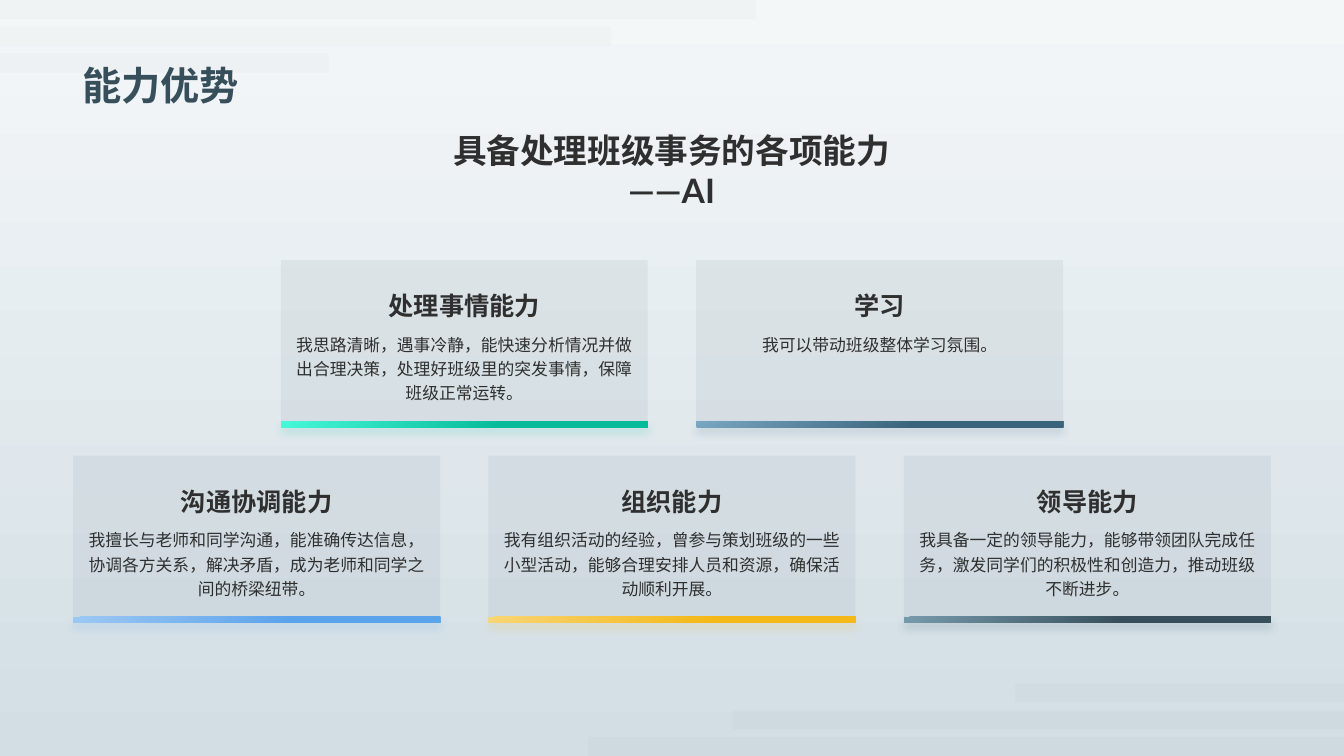
import pptx
import pptx.dml.color
import pptx.enum.shapes
import pptx.enum.text
import pptx.oxml
import pptx.oxml.ns
import pptx.util
from lxml import etree

Inches = pptx.util.Inches
ALIGN = pptx.enum.text.PP_ALIGN
ANCHOR = pptx.enum.text.MSO_ANCHOR
WIDE, HIGH = 13.33, 7.5
INK, SLATE = "2F2F2F", "374F5B"
CARD_W, CARD_H, GAP = 3.64, 1.66, 0.48

# Each row: top, then cards as (heading, text, light, dark)
ROWS = [
    (2.58, [
        ("处理事情能力",
         "我思路清晰，遇事冷静，能快速分析情况并做出合理决策，处理好班级里的突发事情，保障班级正常运转。",
         "47F9D9", "06BB9A"),
        ("学习", "我可以带动班级整体学习氛围。", "79A6C0", "3A647C"),
    ]),
    (4.52, [
        ("沟通协调能力",
         "我擅长与老师和同学沟通，能准确传达信息，协调各方关系，解决矛盾，成为老师和同学之间的桥梁纽带。",
         "9DC8F3", "5BA3EB"),
        ("组织能力",
         "我有组织活动的经验，曾参与策划班级的一些小型活动，能够合理安排人员和资源，确保活动顺利开展。",
         "F8D575", "F4B919"),
        ("领导能力",
         "我具备一定的领导能力，能够带领团队完成任务，激发同学们的积极性和创造力，推动班级不断进步。",
         "779BAD", SLATE),
    ]),
]


def color(code):
    return pptx.dml.color.RGBColor.from_string(code)


def blend(fill, first, last, end, angle):
    """Fill with two colours; the angle runs counter-clockwise."""
    fill.gradient()
    fill.gradient_angle = angle
    for stop, code, spot in zip(fill.gradient_stops, (first, last), (0, end)):
        stop.color.rgb = color(code)
        stop.position = spot


def tint(shape, code, alpha):
    """Fill with a see-through colour, with no line or shadow."""
    shape.shadow.inherit = False
    shape.line.fill.background()
    shape.fill.solid()
    shape.fill.fore_color.rgb = color(code)
    rgb = shape.fill._xPr.find(".//" + pptx.oxml.ns.qn("a:srgbClr"))
    etree.SubElement(rgb, pptx.oxml.ns.qn("a:alpha")).set("val", str(alpha * 1000))


def glow(shape, code):
    """Drop a soft coloured shadow below the shape."""
    shape.shadow.inherit = False
    effects = shape._element.spPr.find(pptx.oxml.ns.qn("a:effectLst"))
    effects.append(pptx.oxml.parse_xml(
        f'<a:outerShdw {pptx.oxml.ns.nsdecls("a")} blurRad="{pptx.util.Pt(6)}" '
        f'dist="{pptx.util.Pt(4)}" dir="5400000" algn="t" rotWithShape="0">'
        f'<a:srgbClr val="{code}"><a:alpha val="20000"/></a:srgbClr></a:outerShdw>'))


def rect(slide, *box):
    return slide.shapes.add_shape(
        pptx.enum.shapes.MSO_SHAPE.RECTANGLE, *map(Inches, box))


def write(slide, box, lines, size, code=INK, bold=True, align=ALIGN.CENTER,
          anchor=ANCHOR.TOP, space=None):
    frame = slide.shapes.add_textbox(*map(Inches, box)).text_frame
    frame.word_wrap = True
    frame.vertical_anchor = anchor
    frame.text = "\n".join(lines)
    for para in frame.paragraphs:
        para.alignment = align
        para.line_spacing = space
        font = para.font
        font.size = pptx.util.Pt(size)
        font.bold = bold
        font.color.rgb = color(code)
        font.name = "Lato"
        east = etree.SubElement(font._element, pptx.oxml.ns.qn("a:ea"))
        east.set("typeface", "Lato")


def stripes(slide):
    """Draw three bars at the top left and mirror them at the bottom right."""
    bars = []
    for row, width in enumerate((7.5, 6.06, 3.26)):
        top = row * 0.265
        low = top + 0.19
        bars.append((0, top, width, low))
        bars.append((WIDE - width, HIGH - low, WIDE, HIGH - top))
    pen = slide.shapes.build_freeform(0, 0)
    for bar in bars:
        left, top, right, low = map(Inches, bar)
        pen.move_to(left, top)
        pen.add_line_segments([(right, top), (right, low), (left, low)], close=True)
    tint(pen.convert_to_shape(), "393939", 2)


def card(slide, left, top, head, text, light, dark):
    tint(rect(slide, left, top, CARD_W, CARD_H), "778495", 10)
    write(slide, (left, top + 0.05, CARD_W, 0.6), [head], 18, anchor=ANCHOR.BOTTOM)
    write(slide, (left, top + 0.65, CARD_W, 0.84), [text], 12, bold=False, space=1.2)
    edge = rect(slide, left, top + CARD_H - 0.06, CARD_W, 0.06)
    edge.line.fill.background()
    blend(edge.fill, light, dark, 0.6, 315)
    glow(edge, dark)


def cards(slide, top, items):
    """Centre a row of cards on the slide."""
    step = CARD_W + GAP
    left = (WIDE - len(items) * step + GAP) / 2
    for col, item in enumerate(items):
        card(slide, left + col * step, top, *item)


def main():
    deck = pptx.Presentation()
    deck.slide_width, deck.slide_height = Inches(WIDE), Inches(HIGH)
    slide = deck.slides.add_slide(deck.slide_layouts[6])
    blend(slide.background.fill, "F4F7F8", "D2DEE4", 1, 270)
    stripes(slide)
    write(slide, (0.72, 0.14, 11.88, 0.98), ["能力优势"], 28, SLATE,
          align=ALIGN.LEFT, anchor=ANCHOR.BOTTOM)
    write(slide, (0.72, 1.24, 11.88, 0.84), ["具备处理班级事务的各项能力", "——AI"], 24)
    for top, items in ROWS:
        cards(slide, top, items)
    deck.save("out.pptx")


if __name__ == "__main__":
    main()
